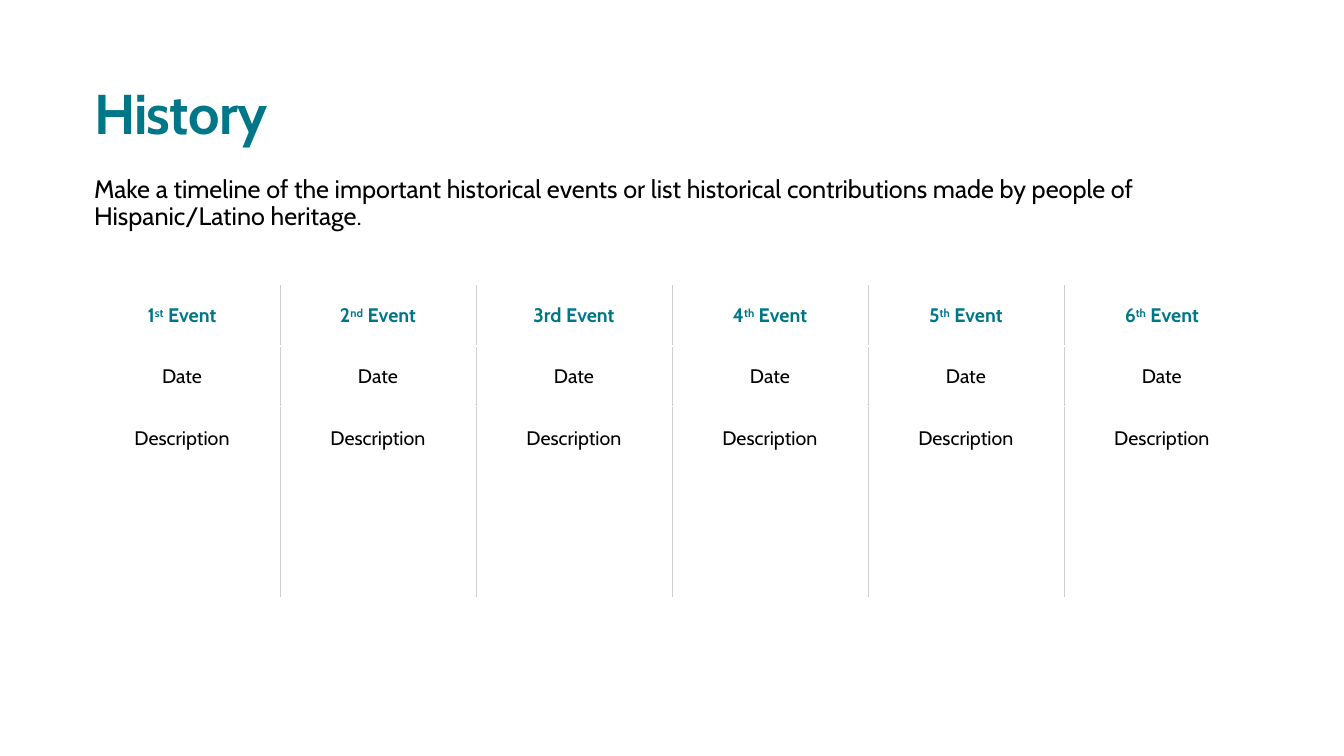
import pptx
import pptx.util
import pptx.dml.color
import pptx.enum.text
import pptx.oxml
import pptx.oxml.ns

Pt = pptx.util.Pt
TEAL = pptx.dml.color.RGBColor(0x00, 0x77, 0x88)
BLACK = pptx.dml.color.RGBColor(0x00, 0x00, 0x00)
RULE = pptx.dml.color.RGBColor(0xCF, 0xCF, 0xCF)
LEFT, WIDTH = 60, 840
EVENTS = [("1", "st"), ("2", "nd"), ("3rd", ""), ("4", "th"), ("5", "th"), ("6", "th")]
ROW_HEIGHTS = [43.2, 43.2, 136.8]


def style(r, size, color, bold=False):
    r.font.name = "Cabin"
    r.font.size = Pt(size)
    r.font.bold = bold
    r.font.color.rgb = color


def place_text(sp, top, height, text, size, color, bold, anchor):
    sp.left, sp.top, sp.width, sp.height = Pt(LEFT), Pt(top), Pt(WIDTH), Pt(height)
    tf = sp.text_frame
    tf.text = text
    tf.word_wrap = True
    tf.auto_size = pptx.enum.text.MSO_AUTO_SIZE.NONE
    tf.vertical_anchor = anchor
    tf.margin_left = tf.margin_right = Pt(7.2)
    tf.margin_top = tf.margin_bottom = Pt(0)
    p = tf.paragraphs[0]
    p.alignment = pptx.enum.text.PP_ALIGN.LEFT
    p.space_before = Pt(0)
    style(p.runs[0], size, color, bold)
    return p


prs = pptx.Presentation()
prs.slide_width, prs.slide_height = Pt(960), Pt(540)
s = prs.slides.add_slide(prs.slide_layouts[1])

p = place_text(s.shapes.title, 56, 48, "History", 40, TEAL, True,
               pptx.enum.text.MSO_ANCHOR.BOTTOM)
p.runs[0].font._element.set("spc", "-50")

p = place_text(s.placeholders[1], 126, 60,
               "Make a timeline of the important historical events or list historical "
               "contributions made by people of Hispanic/Latino heritage.",
               18, BLACK, False, pptx.enum.text.MSO_ANCHOR.TOP)
p.line_spacing = 0.9
pPr = p._p.get_or_add_pPr()
pPr.set("marL", "0")
pPr.set("indent", "0")
pPr.append(pptx.oxml.parse_xml(f'<a:buNone {pptx.oxml.ns.nsdecls("a")}/>'))

table = s.shapes.add_table(len(ROW_HEIGHTS), len(EVENTS), Pt(LEFT), Pt(204),
                           Pt(WIDTH), Pt(sum(ROW_HEIGHTS))).table
table.first_row = False
table.horz_banding = False
for row, height in zip(table.rows, ROW_HEIGHTS):
    row.height = Pt(height)

for col, (number, suffix) in enumerate(EVENTS):
    table.columns[col].width = Pt(WIDTH / len(EVENTS))
    columns_texts = [[number, suffix, " Event"], ["Date"], ["Description"]]
    for row, parts in enumerate(columns_texts):
        cell = table.cell(row, col)
        p = cell.text_frame.paragraphs[0]
        p.alignment = pptx.enum.text.PP_ALIGN.CENTER
        p.space_before = Pt(0)
        for part in filter(None, parts):
            r = p.add_run()
            r.text = part
            style(r, 14, TEAL if row == 0 else BLACK, row == 0)
            if part == suffix:
                r.font._element.set("baseline", "30000")
        cell.vertical_anchor = pptx.enum.text.MSO_ANCHOR.MIDDLE
        if row == 2:
            cell.vertical_anchor = pptx.enum.text.MSO_ANCHOR.TOP
            cell.margin_top = Pt(14.4)
        for side, inner in (("lnL", col > 0), ("lnR", col < len(EVENTS) - 1)):
            if inner:
                cell._tc.get_or_add_tcPr().append(pptx.oxml.parse_xml(
                    f'<a:{side} {pptx.oxml.ns.nsdecls("a")} w="{Pt(0.5)}">'
                    f'<a:solidFill><a:srgbClr val="{RULE}"/></a:solidFill></a:{side}>'))
        cell.fill.background()

prs.save("out.pptx")
